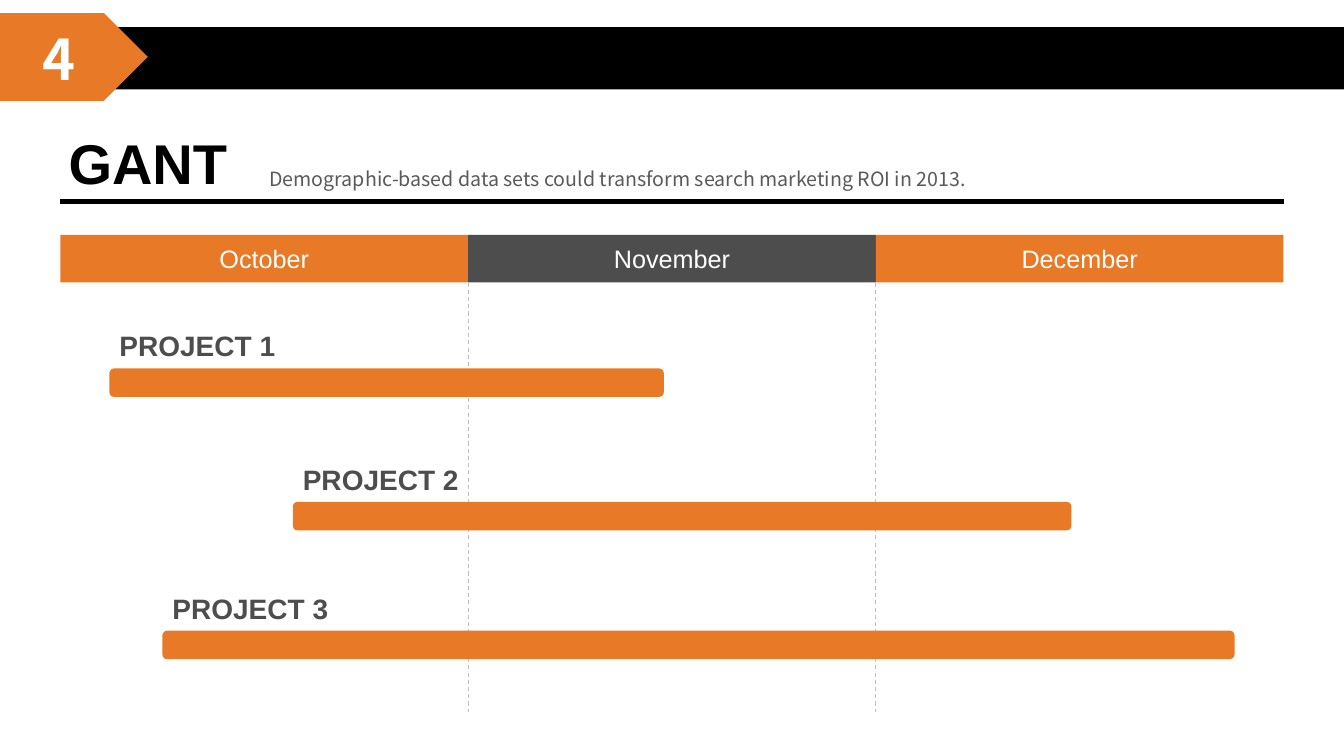
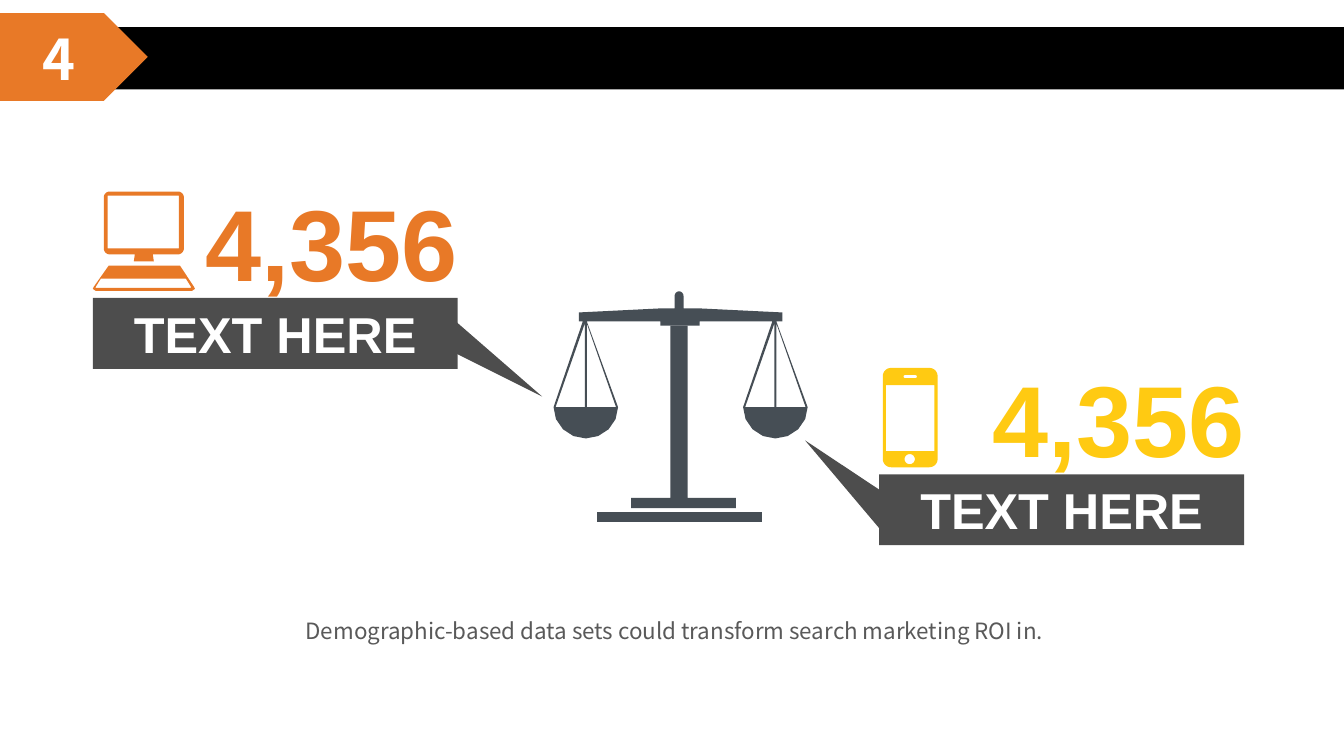
import math
from dataclasses import dataclass

from lxml import etree
from pptx import Presentation
from pptx.dml.color import RGBColor
from pptx.enum.dml import MSO_LINE
from pptx.enum.shapes import MSO_CONNECTOR, MSO_SHAPE
from pptx.enum.text import MSO_ANCHOR, MSO_AUTO_SIZE, PP_ALIGN
from pptx.oxml.ns import qn
from pptx.util import Inches, Pt

RECTANGLE = MSO_SHAPE.RECTANGLE
ROUNDED = MSO_SHAPE.ROUNDED_RECTANGLE
PENTAGON = MSO_SHAPE.PENTAGON
TRIANGLE = MSO_SHAPE.ISOSCELES_TRIANGLE
STRAIGHT = MSO_CONNECTOR.STRAIGHT
DASH = MSO_LINE.DASH
LEFT = PP_ALIGN.LEFT
CENTER = PP_ALIGN.CENTER
TOP = MSO_ANCHOR.TOP
MIDDLE = MSO_ANCHOR.MIDDLE
NO_FIT = MSO_AUTO_SIZE.NONE
TITLE_ONLY, BLANK = 5, 6


@dataclass(frozen=True)
class Theme:
    black: str = "000000"
    white: str = "FFFFFF"
    orange: str = "E87927"
    yellow: str = "FFCA12"
    gray: str = "4D4D4D"
    body_gray: str = "595959"
    guide_gray: str = "BFBFBF"
    slate: str = "464E55"
    heading_font: str = "Arial"
    body_font: str = "Noto Sans CJK SC"
    title_size: int = 40
    month_size: int = 18
    project_size: int = 20
    description_size: int = 14
    caption_size: int = 16
    callout_size: int = 36
    figure_size: int = 72


THEME = Theme()


@dataclass(frozen=True)
class Box:
    left: float
    top: float
    width: float
    height: float

    def region(self, x, y, width, height):
        return Box(self.left + x * self.width, self.top + y * self.height,
                   width * self.width, height * self.height)

    def emu(self):
        return [Inches(v) for v in (self.left, self.top, self.width, self.height)]


SLIDE = Box(0, 0, 13.33, 7.5)


def color(value):
    return RGBColor.from_string(value)


def write(shape, text, size, ink, font=THEME.heading_font, bold=False,
          align=LEFT, anchor=TOP, wrap=True):
    frame = shape.text_frame
    frame.text = text
    frame.word_wrap = wrap
    frame.auto_size = NO_FIT
    frame.vertical_anchor = anchor
    paragraph = frame.paragraphs[0]
    paragraph.alignment = align
    run_font = paragraph.runs[0].font
    run_font.name, run_font.size, run_font.bold = font, Pt(size), bold
    run_font.color.rgb = color(ink)


def add_text(slide, box, text, size, ink, **style):
    shape = slide.shapes.add_textbox(*box.emu())
    write(shape, text, size, ink, **style)
    return shape


def paint(shape, fill):
    shape.shadow.inherit = False
    shape.fill.solid()
    shape.fill.fore_color.rgb = color(fill)
    shape.line.fill.background()
    return shape


def add_block(slide, kind, box, fill):
    return paint(slide.shapes.add_shape(kind, *box.emu()), fill)


def add_line(slide, start, end, ink, width, dash=None):
    points = [Inches(value) for value in (*start, *end)]
    connector = slide.shapes.add_connector(STRAIGHT, *points)
    connector.line.color.rgb = color(ink)
    connector.line.width = Pt(width)
    if dash:
        connector.line.dash_style = dash
    etree.SubElement(connector._element.spPr, qn("a:effectLst"))


def rectangle(x, y, width, height):
    return [(x, y), (x + width, y), (x + width, y + height), (x, y + height)]


def arc(x, y, radius_x, radius_y, start, sweep, steps=8):
    angles = [math.radians(start + sweep * i / steps) for i in range(steps + 1)]
    return [(x + radius_x * math.cos(a), y + radius_y * math.sin(a)) for a in angles]


def rounded(x, y, width, height, radius):
    inner = rectangle(x + radius, y + radius, width - 2 * radius, height - 2 * radius)
    return [point for i, (cx, cy) in enumerate(inner)
            for point in arc(cx, cy, radius, radius, 180 + 90 * i, 90)]


def add_outline(slide, box, columns, rows, contours, fill):
    def place(point):
        return (Inches(box.left + point[0] * box.width / columns),
                Inches(box.top + point[1] * box.height / rows))

    builder = None
    for contour in contours:
        first, *others = [place(point) for point in contour]
        if builder is None:
            builder = slide.shapes.build_freeform(*first, scale=1.0)
        else:
            builder.move_to(*first)
        builder.add_line_segments(others, close=True)
    paint(builder.convert_to_shape(), fill)


def add_header(slide, box, number):
    add_block(slide, RECTANGLE, box.region(0, 0.16, 1, 0.71), THEME.black)
    tab = box.region(0, 0, 0.11, 1)
    add_block(slide, PENTAGON, tab, THEME.orange)
    add_text(slide, tab.region(0.22, 0.07, 0.37, 0.89), number, THEME.title_size,
             THEME.white, font=THEME.body_font, bold=True)


def add_heading(slide, box, title, description):
    placeholder = slide.shapes.title
    (placeholder.left, placeholder.top,
     placeholder.width, placeholder.height) = box.region(0, 0, 0.15, 1).emu()
    write(placeholder, title, THEME.title_size, THEME.black, bold=True)
    placeholder.text_frame.margin_left = Inches(0.08)
    note = add_text(slide, box.region(0.16, 0.5, 0.8, 0.44), description,
                    THEME.description_size, THEME.body_gray, font=THEME.body_font)
    note.text_frame.margin_left = Inches(0.13)
    bottom = box.top + box.height
    add_line(slide, (box.left, bottom), (box.left + box.width, bottom), THEME.black, 3)


def add_gantt(slide, box, months, projects):
    share = 1 / len(months)
    header = 0.1
    for i in range(1, len(months)):
        x = box.left + i * share * box.width
        add_line(slide, (x, box.top + header * box.height),
                 (x, box.top + box.height), THEME.guide_gray, 0.75, DASH)
    for i, month in enumerate(months):
        fill = THEME.gray if i % 2 else THEME.orange
        cell = add_block(slide, RECTANGLE, box.region(i * share, 0, share, header), fill)
        write(cell, month, THEME.month_size, THEME.white, align=CENTER, anchor=MIDDLE)
    for name, start, duration, y in projects:
        bar = box.region(start * share, y, duration * share, 0.06)
        add_block(slide, ROUNDED, bar, THEME.orange)
        label = Box(bar.left, bar.top - 0.44, 2.11, 0.44)
        add_text(slide, label, name, THEME.project_size, THEME.gray, bold=True)


def add_scales(slide, box):
    columns, rows = 252, 229
    stand = [(116, 205), (77, 205), (77, 215), (181, 215), (181, 205),
             (133, 205), (133, 34), (116, 34)]
    beam = [(25, 21), (106, 17), (120, 17), *arc(124.5, 5, 4.5, 5, 180, 180),
            (129, 17), (145, 17), (227, 21), (227, 30), (145, 30),
            (145, 34), (106, 34), (106, 30), (25, 30)]
    pan = [[(29, 30), *arc(32, 115, 32, 31, 180, -180), (33, 30)],
           [(31, 32), (2, 115), (31, 115)],
           [(33, 32), (33, 115), (62, 115)]]
    pans = [[(x + shift, y) for x, y in contour] for shift in (0, 188) for contour in pan]
    for contours in ([stand], [beam, *pans], [rectangle(43, 219, 164, 10)]):
        add_outline(slide, box, columns, rows, contours, THEME.slate)


def add_computer(slide, box, fill):
    screen = [rounded(11, 0, 80, 62, 6), rectangle(15, 4, 71, 52),
              [(42, 62), (41, 69), (61, 69), (60, 62)]]
    keyboard = [[(16, 73), (87, 73), (101, 94), (102, 96), (99, 98),
                 (3, 98), (0, 96), (1, 94)],
                [(8, 86), (93, 86), (98, 94), (98, 95), (3, 95), (3, 94)]]
    for contours in (screen, keyboard):
        add_outline(slide, box, 102, 98, contours, fill)


def add_phone(slide, box, fill):
    contours = [rounded(0, 0, 53, 98, 8), rounded(20, 7, 13, 3, 1.5),
                rectangle(3, 17, 47, 65), rounded(21, 85, 10, 10, 5)]
    add_outline(slide, box, 53, 98, contours, fill)


def add_statistic(slide, box, figure, label, ink, draw_icon, icon, pointer, rotation):
    add_block(slide, TRIANGLE, box.region(*pointer), THEME.gray).rotation = rotation
    bar = add_block(slide, RECTANGLE, box.region(0, 0.6, 1, 0.4), THEME.gray)
    write(bar, label, THEME.callout_size, THEME.white, bold=True,
          align=CENTER, anchor=MIDDLE)
    draw_icon(slide, box.region(*icon), ink)
    add_text(slide, box.region(0.28, -0.09, 0.75, 0.74), figure, THEME.figure_size, ink,
             bold=True, align=CENTER, wrap=False)


def new_slide(presentation, layout):
    slide = presentation.slides.add_slide(presentation.slide_layouts[layout])
    add_header(slide, Box(0, 0.13, SLIDE.width, 0.87), "4")
    return slide


def build_gantt_slide(presentation):
    slide = new_slide(presentation, TITLE_ONLY)
    add_heading(slide, Box(0.6, 1.22, 12.13, 0.78), "GANT",
                "Demographic-based data sets could transform search marketing ROI in 2013.")
    add_gantt(slide, Box(0.6, 2.33, 12.13, 4.73), ["October", "November", "December"],
              [("PROJECT 1", 0.12, 1.36, 0.28),
               ("PROJECT 2", 0.57, 1.91, 0.56),
               ("PROJECT 3", 0.25, 2.63, 0.83)])


def build_balance_slide(presentation):
    slide = new_slide(presentation, BLANK)
    add_scales(slide, Box(5.49, 2.89, 2.52, 2.29))
    add_statistic(slide, Box(0.92, 1.9, 3.62, 1.76), "4,356", "TEXT HERE", THEME.orange,
                  add_computer, (0, 0, 0.28, 0.56), (1.06, 0.65, 0.08, 0.65), 123.8)
    add_statistic(slide, Box(8.72, 3.65, 3.62, 1.76), "4,356", "TEXT HERE", THEME.yellow,
                  add_phone, (0.01, 0, 0.15, 0.56), (-0.13, 0.3, 0.09, 0.65), 311.7)
    add_text(slide, SLIDE.region(0.22, 0.81, 0.7, 0.05),
             "Demographic-based data sets could transform search marketing ROI in.",
             THEME.caption_size, THEME.body_gray, font=THEME.body_font)


def main():
    presentation = Presentation()
    presentation.slide_width = Inches(SLIDE.width)
    presentation.slide_height = Inches(SLIDE.height)
    build_gantt_slide(presentation)
    build_balance_slide(presentation)
    presentation.save("out.pptx")


if __name__ == "__main__":
    main()
